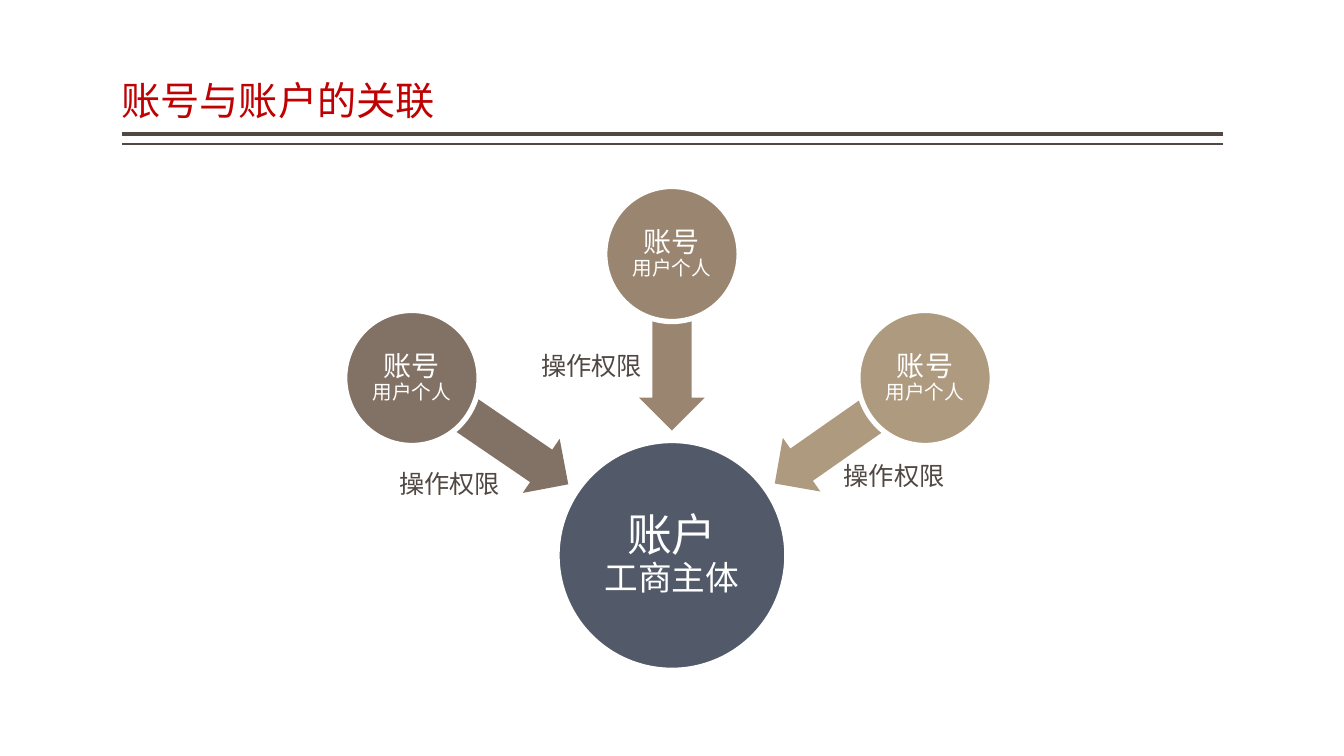
from lxml import etree
from pptx import Presentation, util as u
from pptx.dml.color import RGBColor
from pptx.enum import shapes, text
from pptx.oxml.ns import qn

WIDTH, HEIGHT = u.Inches(13.33), u.Inches(7.5)
HAN_FONT, LABEL_FONT = "Noto Sans CJK SC", "Lato"
WHITE, DARK, RED, SLATE = "FFFFFF", "514843", "BF0102", "525A6A"
RULE_LEFT, RULE_RIGHT = 9.08, 91


def color(hex_value):
    return RGBColor.from_string(hex_value)


def across(percent):
    return u.Emu(round(WIDTH * percent / 100))


def down(percent):
    return u.Emu(round(HEIGHT * percent / 100))


def box(center, size):
    """Left, top, width and height from a centre and size in slide percent."""
    (x, y), (width, height) = center, size
    return across(x - width / 2), down(y - height / 2), across(width), down(height)


def add_run(paragraph, content, size, fill, font=HAN_FONT):
    run = paragraph.add_run()
    run.text = content
    run.font.size = u.Pt(size)
    run.font.name = font
    run.font.color.rgb = color(fill)
    properties = run.font._element
    etree.SubElement(properties, qn("a:ea")).set("typeface", font)


def set_frame(frame, anchor, insets, wrap=True):
    frame.word_wrap = wrap
    frame.auto_size = text.MSO_AUTO_SIZE.NONE
    frame.vertical_anchor = anchor
    frame.margin_left = frame.margin_right = u.Inches(insets[0])
    frame.margin_top = frame.margin_bottom = u.Inches(insets[1])


def add_title(slide, content):
    title = slide.shapes.title
    title.left, title.top, title.width, title.height = box((50, 9.07), (81.92, 16))
    set_frame(title.text_frame, text.MSO_ANCHOR.BOTTOM, (0, 0.05))
    paragraph = title.text_frame.paragraphs[0]
    paragraph.alignment = text.PP_ALIGN.LEFT
    paragraph.line_spacing = 0.9
    add_run(paragraph, content, 28, RED)


def add_rule(slide, y, weight):
    rule = slide.shapes.add_connector(
        shapes.MSO_CONNECTOR.STRAIGHT,
        across(RULE_RIGHT), down(y), across(RULE_LEFT), down(y))
    rule.line.color.rgb = color(DARK)
    rule.line.width = u.Pt(weight)
    etree.SubElement(rule._element.spPr, qn("a:effectLst"))


def add_filled(slide, kind, center, size, fill):
    shape = slide.shapes.add_shape(kind, *box(center, size))
    shape.shadow.inherit = False
    shape.fill.solid()
    shape.fill.fore_color.rgb = color(fill)
    shape.line.fill.background()
    return shape


def add_circle(slide, center, size, fill, lines, sizes, inset):
    circle = add_filled(slide, shapes.MSO_SHAPE.OVAL, center, size, fill)
    circle.line.color.rgb = color(WHITE)
    circle.line.width = u.Pt(3.78)
    set_frame(circle.text_frame, text.MSO_ANCHOR.MIDDLE, (inset, inset))
    paragraph = circle.text_frame.paragraphs[0]
    paragraph.alignment = text.PP_ALIGN.CENTER
    paragraph.line_spacing = 0.9
    add_run(paragraph, lines[0], sizes[0], WHITE)
    paragraph.add_line_break()
    add_run(paragraph, lines[1], sizes[1], WHITE)


def add_arrow(slide, center, length, rotation, fill):
    arrow = add_filled(slide, shapes.MSO_SHAPE.LEFT_ARROW, center, (length, 8.67), fill)
    arrow.rotation = rotation
    arrow.adjustments[0], arrow.adjustments[1] = 0.6, 0.5


def add_label(slide, center, content):
    label = slide.shapes.add_textbox(*box(center, (9.08, 5.33)))
    set_frame(label.text_frame, text.MSO_ANCHOR.TOP, (0.1, 0.05), wrap=False)
    label.text_frame.auto_size = text.MSO_AUTO_SIZE.SHAPE_TO_FIT_TEXT
    add_run(label.text_frame.paragraphs[0], content, 18, DARK, LABEL_FONT)


def main():
    presentation = Presentation()
    presentation.slide_width, presentation.slide_height = WIDTH, HEIGHT
    slide = presentation.slides.add_slide(presentation.slide_layouts[5])

    # Title and double rule
    add_rule(slide, 17.73, 3)
    add_rule(slide, 19.07, 1)
    add_title(slide, "账号与账户的关联")

    # Central account
    add_circle(slide, (50, 73.47), (17.1, 30.4), SLATE,
               ("账户", "工商主体"), (32, 24), 0.02)

    # Users: fill, circle centre, arrow centre, arrow length, rotation
    users = [
        ("827266", (30.65, 50), (36.46, 57), 14.1, 214.3),
        ("9A8570", (50, 33.6), (50, 45.27), 13.13, 270),
        ("AE9A7E", (68.83, 50), (63.24, 57), 13.65, 325),
    ]
    for fill, circle_center, arrow_center, length, rotation in users:
        add_arrow(slide, arrow_center, length, rotation, fill)
        add_circle(slide, circle_center, (10, 17.87), fill,
                   ("账号", "用户个人"), (20, 14), 0.04)

    # Arrow labels
    for center in [(33.5, 64), (44.07, 48.4), (66.58, 62.93)]:
        add_label(slide, center, "操作权限")

    presentation.save("out.pptx")


if __name__ == "__main__":
    main()
